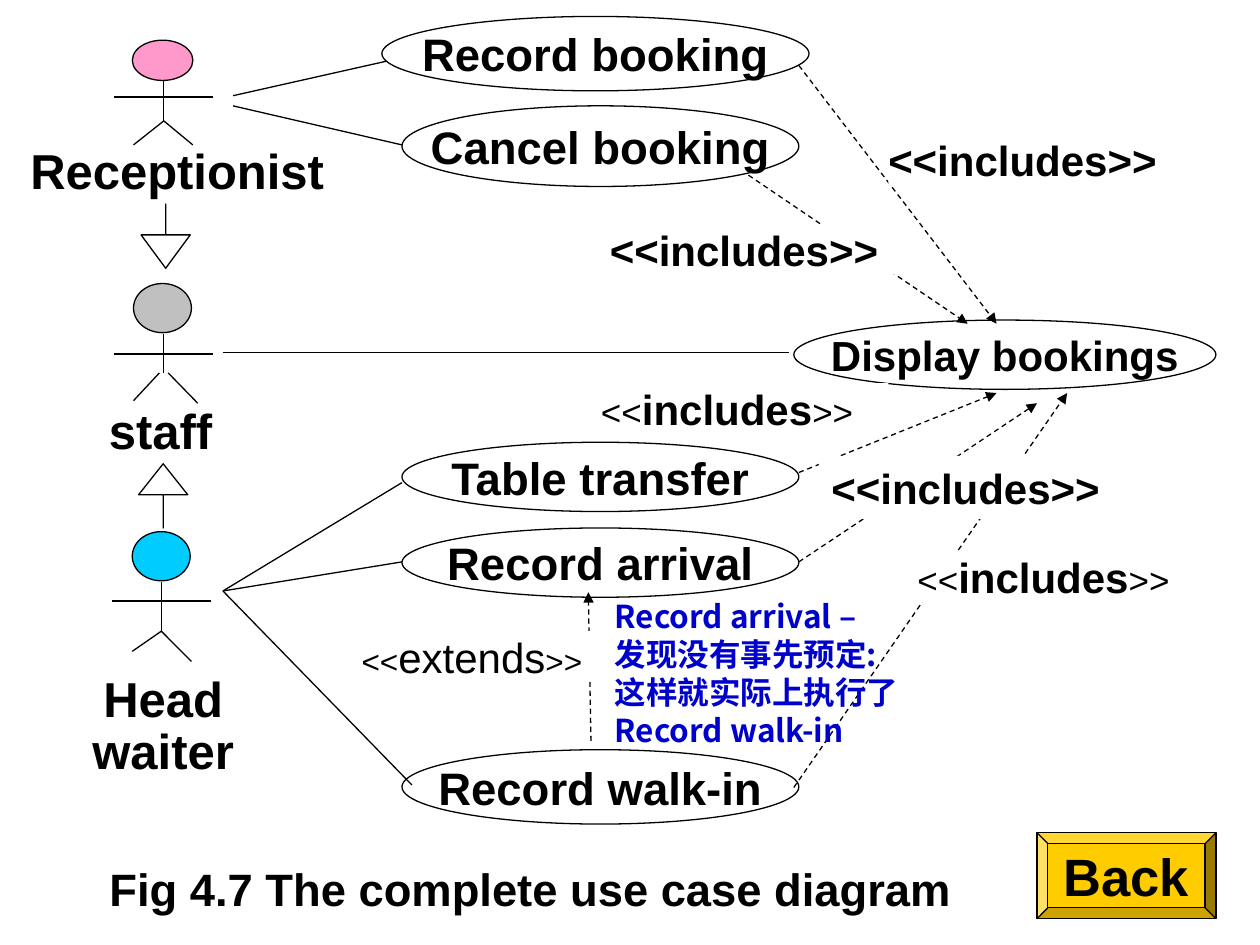
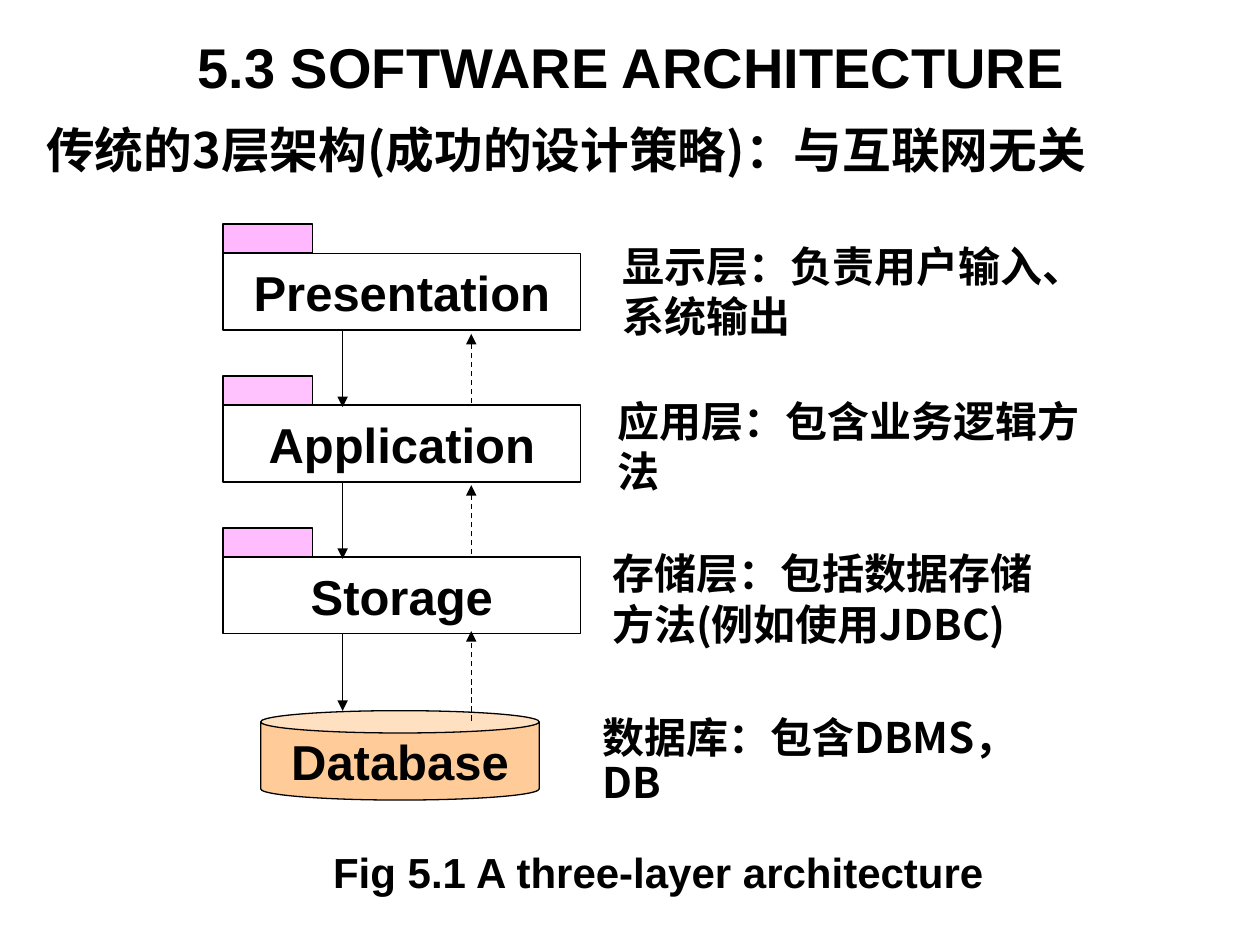
from dataclasses import dataclass
from typing import Optional

from lxml import etree
from pptx import Presentation
from pptx.dml import color
from pptx.enum import dml, shapes, text
from pptx.oxml import ns
from pptx.util import Pt

BLACK, WHITE, NOTE_BLUE = "000000", "FFFFFF", "0000CC"
LATIN, CJK = "Arial", "Noto Sans CJK SC"
LEFT, CENTER = text.PP_ALIGN.LEFT, text.PP_ALIGN.CENTER
SHAPE = shapes.MSO_SHAPE
Box = tuple[float, float, float, float]
Point = tuple[float, float]


@dataclass
class Style:
    size: float = 24
    font: str = LATIN
    color: str = BLACK
    bold: bool = True
    align: text.PP_ALIGN = CENTER
    spacing: Optional[float] = None


@dataclass
class UseCase:
    name: str
    box: Box
    size: float = 26


@dataclass
class Stereotype:
    word: str
    box: Box
    bracket_size: float = 24  # brackets below 24 pt are not bold
    bold: bool = True
    inset: Point = (0, 0)


@dataclass
class Actor:
    name: str
    label: Box
    head: Box
    fill: str
    spine: float
    neck: float
    arms: float
    hip: float
    feet: tuple[Point, Point]
    hip_gap: float = 0
    wrap: bool = True


@dataclass
class Layer:
    name: str
    opacity: int
    reply: Point  # start and end heights of the upward arrow
    description: str
    description_box: Box


# ---- Shared drawing ----
def rgb(hex_code: str) -> color.RGBColor:
    return color.RGBColor.from_string(hex_code)


def pts(values) -> list[int]:
    return [Pt(v) for v in values]


def style_run(r, style: Style) -> None:
    f = r.font
    f.size, f.bold, f.name = Pt(style.size), style.bold, style.font
    f.color.rgb = rgb(style.color)
    if style.font == CJK:
        ea = etree.Element(ns.qn("a:ea"), typeface=CJK)
        r._r.rPr.find(ns.qn("a:latin")).addnext(ea)


def write(tf, words: str, style: Style) -> None:
    tf.text = words
    for p in tf.paragraphs:
        p.alignment = style.align
        if style.spacing:
            p.line_spacing = style.spacing
        for r in p.runs:
            style_run(r, style)


def add_text(s, box: Box, words: str, style: Style, fill: Optional[str] = None,
             wrap: bool = True, inset: Point = (7.2, 3.6)):
    sp = s.shapes.add_textbox(*pts(box))
    tf = sp.text_frame
    tf.word_wrap = wrap
    tf.margin_left = tf.margin_right = Pt(inset[0])
    tf.margin_top = tf.margin_bottom = Pt(inset[1])
    if fill:
        sp.fill.solid()
        sp.fill.fore_color.rgb = rgb(fill)
    write(tf, words, style)
    return sp


def add_outlined(s, kind: SHAPE, box: Box, fill: Optional[str] = None,
                 words: str = "", size: float = 28):
    sp = s.shapes.add_shape(kind, *pts(box))
    sp.shadow.inherit = False
    if fill:
        sp.fill.solid()
        sp.fill.fore_color.rgb = rgb(fill)
    else:
        sp.fill.background()
    sp.line.color.rgb = rgb(BLACK)
    sp.line.width = Pt(0.75)
    if words:
        tf = sp.text_frame
        tf.word_wrap = False
        tf.vertical_anchor = text.MSO_ANCHOR.MIDDLE
        write(tf, words, Style(size))
    return sp


def add_line(s, start: Point, end: Point, arrow: bool = False, dashed: bool = False) -> None:
    cx = s.shapes.add_connector(shapes.MSO_CONNECTOR.STRAIGHT, *pts(start + end))
    cx.line.color.rgb = rgb(BLACK)
    cx.line.width = Pt(0.75)
    if dashed:
        cx.line.dash_style = dml.MSO_LINE.DASH
    sp_pr = cx._element.spPr
    if arrow:
        etree.SubElement(sp_pr.find(ns.qn("a:ln")), ns.qn("a:tailEnd"), type="triangle")
    etree.SubElement(sp_pr, ns.qn("a:effectLst"))


def add_caption(s, box: Box, words: str, size: float, spacing: float) -> None:
    add_text(s, box, words, Style(size, spacing=spacing), inset=(7.2, 6))


# ---- Slide 1: use case diagram ----
USE_CASES = [
    UseCase("Record booking", (218.2, 9.4, 244.1, 42.5)),
    UseCase("Cancel booking", (229.7, 60.5, 226.8, 46.1)),
    UseCase("Display bookings", (453.6, 182.9, 241.2, 39.6), 24),
    UseCase("Table transfer", (229.7, 252.7, 226.8, 39.6)),
    UseCase("Record arrival", (229.7, 301.7, 226.8, 39.6)),
    UseCase("Record walk-in", (229.7, 428.4, 226.8, 42.5)),
]
WAITER_HAND = (127.4, 337.7)
ASSOCIATIONS = [
    ((133.2, 60.5), (229.7, 82.8)),
    ((127.4, 201.6), (450.7, 201.6)),
    (WAITER_HAND, (229.7, 275.8)),
    (WAITER_HAND, (229.7, 321.1)),
    (WAITER_HAND, (235.4, 448.6)),
]
DEPENDENCIES = [
    ((456.5, 37.4), (569.5, 185)),
    ((427.7, 100.1), (553, 185)),
    ((456.5, 270), (569.5, 224.6)),
    ((456.5, 321.1), (592.6, 230.4)),
    ((453.6, 450), (609.8, 224.6)),
    ((337.7, 423.4), (336.2, 338.4)),
]
STEREOTYPES = [
    Stereotype("includes", (507.6, 77, 169.9, 28.8)),
    Stereotype("includes", (348.5, 128.2, 169.9, 28.8)),
    Stereotype("includes", (468, 260.6, 175.7, 36), inset=(7.2, 3.6)),
    Stereotype("includes", (343.4, 218.9, 164.2, 28.8), 20),
    Stereotype("includes", (524.2, 315.4, 147.6, 28.8), 20),
    Stereotype("extends", (206.6, 360.7, 136.1, 28.8), 18, bold=False),
]
ACTORS = [
    Actor("Receptionist", (10.1, 77, 182.2, 41), (75.6, 23, 34.6, 23), "FF99CC",
          93.6, 46.1, 55.4, 69.1, ((76.3, 82.8), (110.2, 82.8)), wrap=False),
    Actor("staff", (44.6, 225.4, 94.3, 41), (76.3, 162, 33.1, 28.1), "C0C0C0",
          93.6, 190.8, 202.3, 213.1, ((76.3, 229), (113, 230.4)), hip_gap=2.5),
    Actor("Head waiter", (25.2, 383, 136.1, 66.2), (75.6, 303.8, 33.1, 28.1), "00CCFF",
          92.2, 332.6, 343.4, 360.7, ((75.6, 372.2), (109.4, 378))),
]


def draw_stereotype(s, label: Stereotype) -> None:
    sp = add_text(s, label.box, "", Style(), WHITE, inset=label.inset)
    p = sp.text_frame.paragraphs[0]
    bracket = Style(label.bracket_size, bold=label.bracket_size == 24)
    word = Style(bold=label.bold)
    p.alignment = LEFT
    for words, style in (("<<", bracket), (label.word, word), (">>", bracket)):
        r = p.add_run()
        r.text = words
        style_run(r, style)


def draw_actor(s, actor: Actor) -> None:
    spacing = 0.88 if " " in actor.name else None
    add_text(s, actor.label, actor.name, Style(28, spacing=spacing), WHITE, actor.wrap)
    add_outlined(s, SHAPE.OVAL, actor.head, actor.fill)
    x = actor.spine
    add_line(s, (x - 28.4, actor.arms), (x + 28.4, actor.arms))
    add_line(s, (x, actor.neck), (x, actor.hip))
    for side, foot in zip((-1, 1), actor.feet):
        add_line(s, (x + side * actor.hip_gap, actor.hip), foot)


def draw_generalisation(s, left: float, top: float, head: float, rotation: float) -> None:
    sp = add_outlined(s, SHAPE.UP_ARROW, (left, top, 28.1, 36.7), WHITE)
    sp.adjustments[0], sp.adjustments[1] = 0, head
    sp.rotation = rotation


def build_use_cases(prs) -> None:
    s = prs.slides.add_slide(prs.slide_layouts[6])
    # The first association runs behind its use case
    add_line(s, (133.2, 54.7), (235.4, 31.7))
    for case in USE_CASES:
        add_outlined(s, SHAPE.OVAL, case.box, WHITE, case.name, case.size)
    for start, end in ASSOCIATIONS:
        add_line(s, start, end)
    for start, end in DEPENDENCIES:
        add_line(s, start, end, arrow=True, dashed=True)
    for label in STEREOTYPES:
        draw_stereotype(s, label)
    for actor in ACTORS:
        draw_actor(s, actor)
    draw_generalisation(s, 80.6, 116.6, 0.68, 180)
    draw_generalisation(s, 79.2, 265, 0.63, 0)
    # Note, caption and button
    add_text(s, (344.2, 337.7, 176.4, 93.6),
             "Record arrival –\n发现没有事先预定:\n这样就实际上执行了\nRecord walk-in",
             Style(18, CJK, NOTE_BLUE, align=LEFT), wrap=False)
    add_caption(s, (25.2, 496.8, 555.8, 28.1), "Fig 4.7 The complete use case diagram", 25.9, 0.6)
    add_outlined(s, SHAPE.BEVEL, (592.6, 475.9, 102.2, 49), "FFCC00", "Back", 30)


# ---- Slide 2: layered architecture ----
LAYER_LEFT, LAYER_TOP, LAYER_STEP = 127.4, 144.7, 86.8
LAYER_WIDTH, LAYER_HEIGHT = 204.5, 43.9
TAB_WIDTH, TAB_HEIGHT = 51.1, 16.6
CALL_X, REPLY_X = 195.8, 269.3
LAYERS = [
    Layer("Presentation", 28, (230.4, 190.8), "显示层：负责用户输入、系统输出",
          (348.5, 133.9, 289.4, 64.8)),
    Layer("Application", 24, (316.8, 277.2), "应用层：包含业务逻辑方法",
          (345.6, 222.5, 280.8, 64.8)),
    Layer("Storage", 26, (411.8, 360.7), "存储层：包括数据存储方法(例如使用JDBC)",
          (342.7, 309.6, 277.9, 64.8)),
]


def draw_layer(s, layer: Layer, top: float) -> None:
    add_outlined(s, SHAPE.RECTANGLE, (LAYER_LEFT, top, LAYER_WIDTH, LAYER_HEIGHT),
                 words=layer.name)
    tab = add_outlined(s, SHAPE.RECTANGLE,
                       (LAYER_LEFT, top - TAB_HEIGHT, TAB_WIDTH, TAB_HEIGHT), "FF00FF")
    clr = tab._element.spPr.find(ns.qn("a:solidFill"))[0]
    etree.SubElement(clr, ns.qn("a:alpha"), val=str(layer.opacity * 1000))
    add_text(s, layer.description_box, layer.description, Style(font=CJK, align=LEFT))


def build_architecture(prs) -> None:
    s = prs.slides.add_slide(prs.slide_layouts[6])
    title = add_text(s, (36.7, 15.1, 648, 45.4), "5.3 SOFTWARE ARCHITECTURE", Style(32))
    title.text_frame.vertical_anchor = text.MSO_ANCHOR.MIDDLE
    add_text(s, (19.4, 77, 668.9, 31), "传统的3层架构(成功的设计策略)：与互联网无关",
             Style(27.8, CJK, align=LEFT, spacing=0.6))
    tops = [LAYER_TOP + i * LAYER_STEP for i in range(len(LAYERS))]
    for layer, top in zip(LAYERS, tops):
        draw_layer(s, layer, top)
    # Database below the layers
    add_outlined(s, SHAPE.CAN, (149, 406.1, 159.1, 51.1), "FFCC99", "Database")
    add_text(s, (337, 406.1, 272.2, 59), "数据库：包含DBMS，DB",
             Style(font=CJK, align=LEFT, spacing=0.9))
    # Calls go down, replies come back up
    for layer, top in zip(LAYERS, tops):
        bottom = top + LAYER_HEIGHT
        add_line(s, (CALL_X, bottom), (CALL_X, bottom + 44), arrow=True)
        start, end = layer.reply
        add_line(s, (REPLY_X, start), (REPLY_X, end), arrow=True, dashed=True)
    add_caption(s, (126, 483.1, 500.4, 31), "Fig 5.1 A three-layer architecture", 24, 0.8)


def main() -> None:
    prs = Presentation()
    prs.slide_width, prs.slide_height = Pt(720), Pt(540)
    build_use_cases(prs)
    build_architecture(prs)
    prs.save("out.pptx")


if __name__ == "__main__":
    main()
